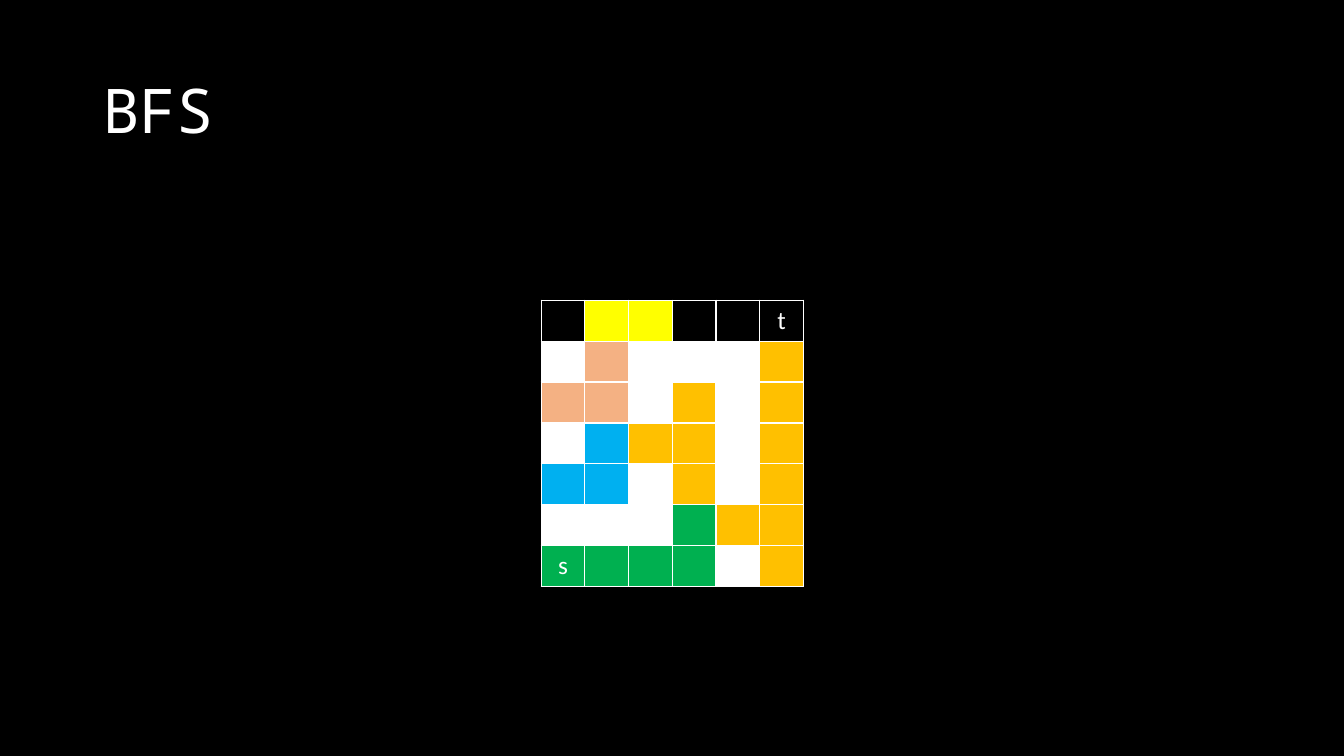
from lxml.etree import SubElement as Sub
from pptx import Presentation
from pptx.dml.color import RGBColor as Rgb
from pptx.enum.text import MSO_ANCHOR as Anchor, PP_ALIGN as Align
from pptx.oxml.ns import qn
from pptx.util import Pt

WHITE, BLACK = "FFFFFF", "000000"
FILLS = {
    "W": WHITE, "Y": "FFFF00", "P": "F4B183",
    "O": "FFC000", "B": "00B0F0", "G": "00B050",
}
# One letter per cell; a dot leaves the cell unfilled.
MAZE = [
    ".YY...",
    "WPWWWO",
    "PPWOWO",
    "WBOOWO",
    "BBWOWO",
    "WWWGOO",
    "GGGGWO",
]
MARKS = {(0, 5): "t", (6, 0): "s"}


def color(code):
    return Rgb.from_string(code)


class Deck:
    title_font, cell_font = "Noto Sans Mono", "Calibri"
    title_size, cell_size = 44, 18
    ink, edge = WHITE, 1

    def __init__(self, wide, high):
        self.prs = Presentation()
        self.prs.slide_width, self.prs.slide_height = Pt(wide), Pt(high)
        self.slide = self.prs.slides.add_slide(self.prs.slide_layouts[6])
        back = self.slide.background.fill
        back.solid()
        back.fore_color.rgb = color(BLACK)

    def style(self, font, name, size):
        font.name, font.size = name, Pt(size)
        font.color.rgb = color(self.ink)

    def title(self, text, left, top, wide, high):
        box = self.slide.shapes.add_textbox(Pt(left), Pt(top), Pt(wide), Pt(high))
        frame = box.text_frame
        frame.word_wrap = True
        frame.vertical_anchor = Anchor.MIDDLE
        frame.text = text
        para = frame.paragraphs[0]
        para.line_spacing = 0.9
        self.style(para.runs[0].font, self.title_font, self.title_size)

    def border(self, cell):
        props = cell._tc.get_or_add_tcPr()
        for side in ("lnL", "lnR", "lnT", "lnB"):
            line = Sub(props, qn(f"a:{side}"), w=str(Pt(self.edge)))
            Sub(Sub(line, qn("a:solidFill")), qn("a:srgbClr"), val=self.ink)

    def cell(self, cell, key, mark):
        self.border(cell)
        if key in FILLS:
            cell.fill.solid()
            cell.fill.fore_color.rgb = color(FILLS[key])
        else:
            cell.fill.background()
        cell.text_frame.text = mark
        para = cell.text_frame.paragraphs[0]
        para.alignment = Align.CENTER
        for run in para.runs:
            self.style(run.font, self.cell_font, self.cell_size)

    def grid(self, rows, marks, left, top, wide, high):
        """Draw a table of coloured cells, each wide by high."""
        count, span = len(rows), len(rows[0])
        table = self.slide.shapes.add_table(
            count, span, Pt(left), Pt(top), Pt(wide * span), Pt(high * count)
        ).table
        table.first_row = table.horz_banding = False
        for col in table.columns:
            col.width = Pt(wide)
        for r, keys in enumerate(rows):
            table.rows[r].height = Pt(high)
            for c, key in enumerate(keys):
                self.cell(table.cell(r, c), key, marks.get((r, c), ""))


def main():
    deck = Deck(960, 540)
    deck.title("BFS", 66, 28.75, 828, 104.4)
    deck.grid(MAZE, MARKS, 386.5, 214.5, 31.25, 29.2)
    deck.prs.save("out.pptx")


if __name__ == "__main__":
    main()
